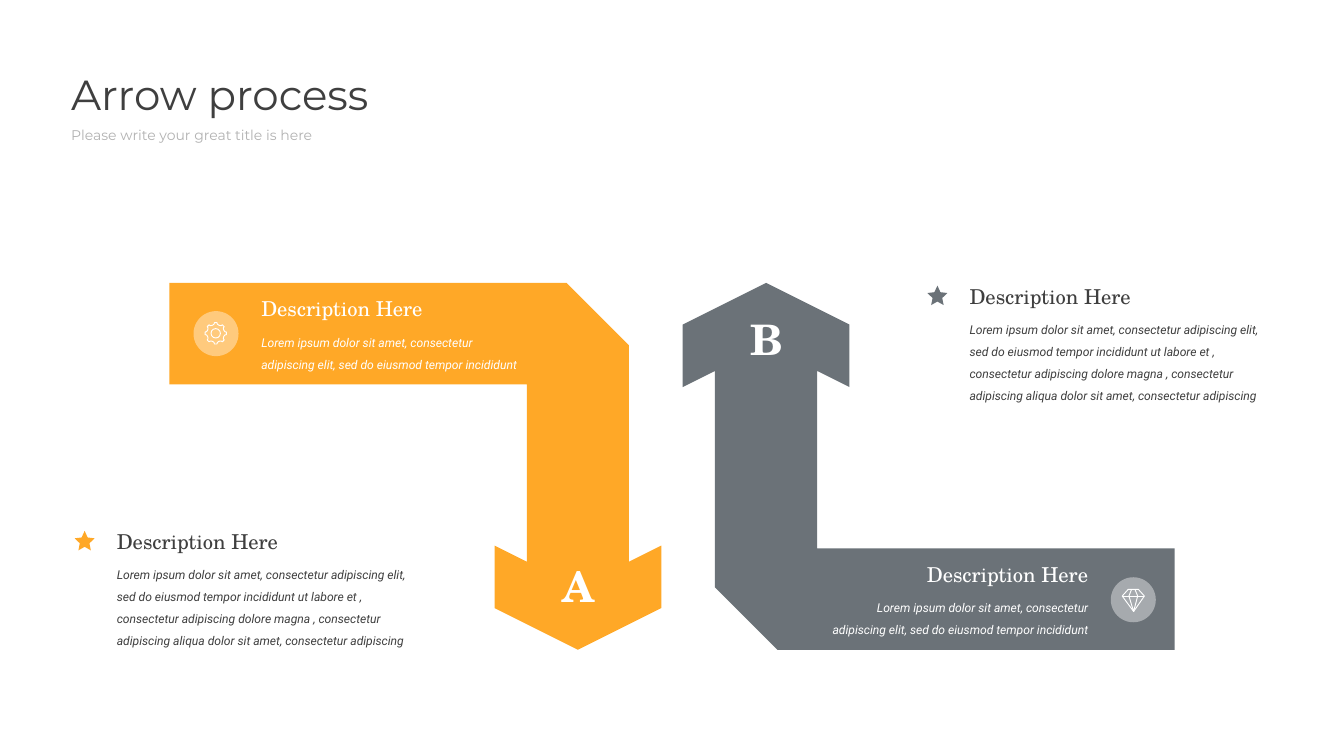
from math import cos, pi, sin
from lxml.etree import SubElement
from pptx import Presentation
from pptx.dml.color import RGBColor
from pptx.enum.shapes import MSO_SHAPE
from pptx.enum.text import MSO_AUTO_SIZE, PP_ALIGN
from pptx.oxml.ns import qn
from pptx.util import Pt

PX = 9144
SLIDE_W, SLIDE_H = 2000, 1125
ORANGE = RGBColor(0xFF, 0xA8, 0x27)
SLATE = RGBColor(0x6B, 0x72, 0x78)
DARK = RGBColor(0x3F, 0x3F, 0x3F)
LIGHT = RGBColor(0xB2, 0xB2, 0xB2)
WHITE = RGBColor(0xFF, 0xFF, 0xFF)
LEFT, CENTER, RIGHT = PP_ALIGN.LEFT, PP_ALIGN.CENTER, PP_ALIGN.RIGHT

SERIF = "TeX Gyre Schola"
TITLE = {"name": "Montserrat", "size": Pt(45)}
SUBTITLE = {"name": "Montserrat", "size": Pt(15)}
LETTER = {"name": SERIF, "size": Pt(45), "bold": True}
HEADING = {"name": SERIF, "size": Pt(22)}
BODY = {"name": "Roboto", "size": Pt(13), "italic": True}

HEAD = "Description Here"
SHORT = ("Lorem ipsum dolor sit amet, consectetur adipiscing elit, "
         "sed do eiusmod tempor incididunt")
LONG = SHORT + (" ut labore et , consectetur adipiscing dolore magna , consectetur "
                "adipiscing aliqua dolor sit amet, consectetur adipiscing")

TITLES = [
    ("Arrow process", (96, 97, 582, 86), TITLE, DARK),
    ("Please write your great title is here", (96, 183, 462, 35), SUBTITLE, LIGHT),
]
LETTERS = [("B", 1096, 462), ("A", 816, 829)]
NOTES = [(111, 782, ORANGE), (1380, 417, SLATE)]
BANNERS = [(379, 436, LEFT), (1214, 831, RIGHT)]
DISCS = [(288, 463), (1653, 859)]
HEAD_W, HEAD_H, DISC = 304, 47, 67

ARROW_B = [(1064, 874), (1064, 552), (1016, 576), (1016, 483), (1140, 421),
           (1264, 483), (1264, 576), (1216, 552), (1216, 816), (1748, 816),
           (1748, 967), (1157, 967)]
ARROW_A = [(2000 - x, 1388 - y) for x, y in ARROW_B]
DIAMOND = [
    [(1670, 887), (1679, 877), (1694, 877), (1703, 887), (1687, 910), (1670, 887)],
    [(1670, 887), (1703, 887)],
    [(1684, 877), (1680, 887), (1687, 910), (1693, 887), (1689, 877)],
]
GEAR_X, GEAR_Y, TEETH = 321, 496, 8
TOOTH = [(-0.34, 13), (-0.17, 14), (-0.12, 16), (0.12, 16), (0.17, 14), (0.34, 13)]
GEAR = [(GEAR_X + r * sin(2 * pi * i / TEETH + a),
         GEAR_Y - r * cos(2 * pi * i / TEETH + a))
        for i in range(TEETH) for a, r in TOOTH]

prs = Presentation()
prs.slide_width, prs.slide_height = SLIDE_W * PX, SLIDE_H * PX
s = prs.slides.add_slide(prs.slide_layouts[6])


def paint(sp, fill=None, line=None):
    sp.shadow.inherit = False
    if fill is None:
        sp.fill.background()
    else:
        sp.fill.solid()
        sp.fill.fore_color.rgb = fill
    if line is None:
        sp.line.fill.background()
    else:
        sp.line.color.rgb = line
        sp.line.width = Pt(1)
    return sp


def shape(kind, x, y, w, h, **colors):
    sp = s.shapes.add_shape(kind, x * PX, y * PX, w * PX, h * PX)
    return paint(sp, **colors)


def outline(contours, close, **colors):
    (x, y), *rest = contours[0]
    fb = s.shapes.build_freeform(x * PX, y * PX)
    fb.add_line_segments([(a * PX, b * PX) for a, b in rest], close=close)
    for (x, y), *rest in contours[1:]:
        fb.move_to(x * PX, y * PX)
        fb.add_line_segments([(a * PX, b * PX) for a, b in rest], close=close)
    return paint(fb.convert_to_shape(), **colors)


def text(words, box, style, color, align=LEFT, spacing=1.0):
    tf = s.shapes.add_textbox(*(v * PX for v in box)).text_frame
    tf.word_wrap = True
    tf.auto_size = MSO_AUTO_SIZE.SHAPE_TO_FIT_TEXT
    p = tf.paragraphs[0]
    p.alignment, p.line_spacing = align, spacing
    r = p.add_run()
    r.text = words
    for key, value in style.items():
        setattr(r.font, key, value)
    r.font.color.rgb = color


def description(x, y, w, h, words, color, align=LEFT):
    head_x = x + w - HEAD_W if align == RIGHT else x
    text(HEAD, (head_x, y, HEAD_W, HEAD_H), HEADING, color, align)
    text(words, (x, y + HEAD_H, w, h), BODY, color, align, 1.5)


outline([ARROW_B], True, fill=SLATE)
outline([ARROW_A], True, fill=ORANGE)

for letter, x, y in LETTERS:
    text(letter, (x, y, 90, 86), LETTER, WHITE, CENTER)

for x, y, color in NOTES:
    star = shape(MSO_SHAPE.STAR_5_POINT, x, y + 8, 30, 29, fill=color)
    star.adjustments[0] = 0.24
    description(x + 53, y, 471, 141, LONG, DARK)

for x, y in DISCS:
    disc = shape(MSO_SHAPE.OVAL, x, y, DISC, DISC, fill=WHITE)
    srgb = disc.fill._xPr.find(qn("a:solidFill"))[0]
    SubElement(srgb, qn("a:alpha"), val="40000")

outline([GEAR], True, line=WHITE)
shape(MSO_SHAPE.OVAL, GEAR_X - 7, GEAR_Y - 7, 14, 14, line=WHITE)
outline(DIAMOND, False, line=WHITE)

for x, y, align in BANNERS:
    description(x, y, 415, 72, SHORT, WHITE, align)

for words, box, style, color in TITLES:
    text(words, box, style, color)

prs.save("out.pptx")
